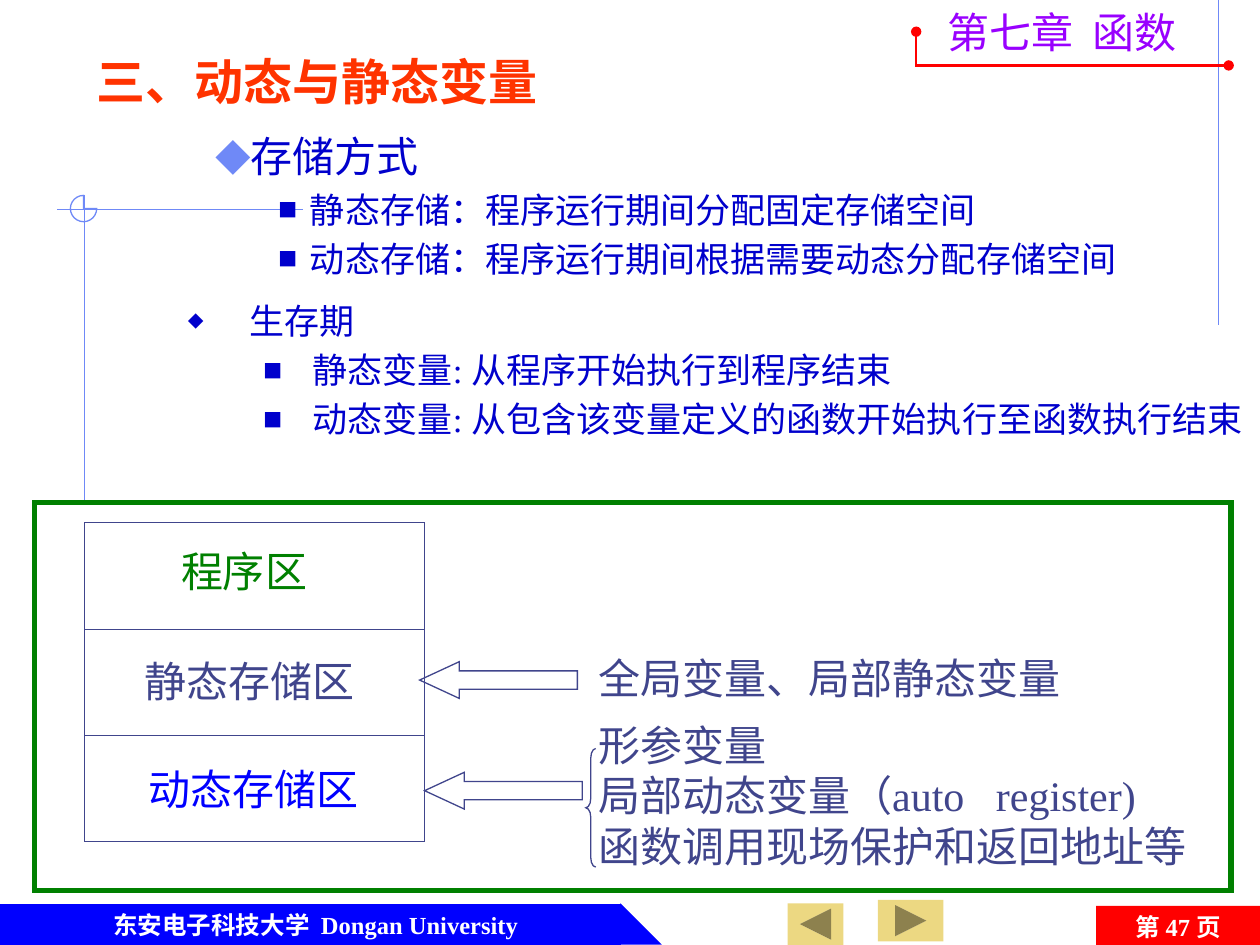
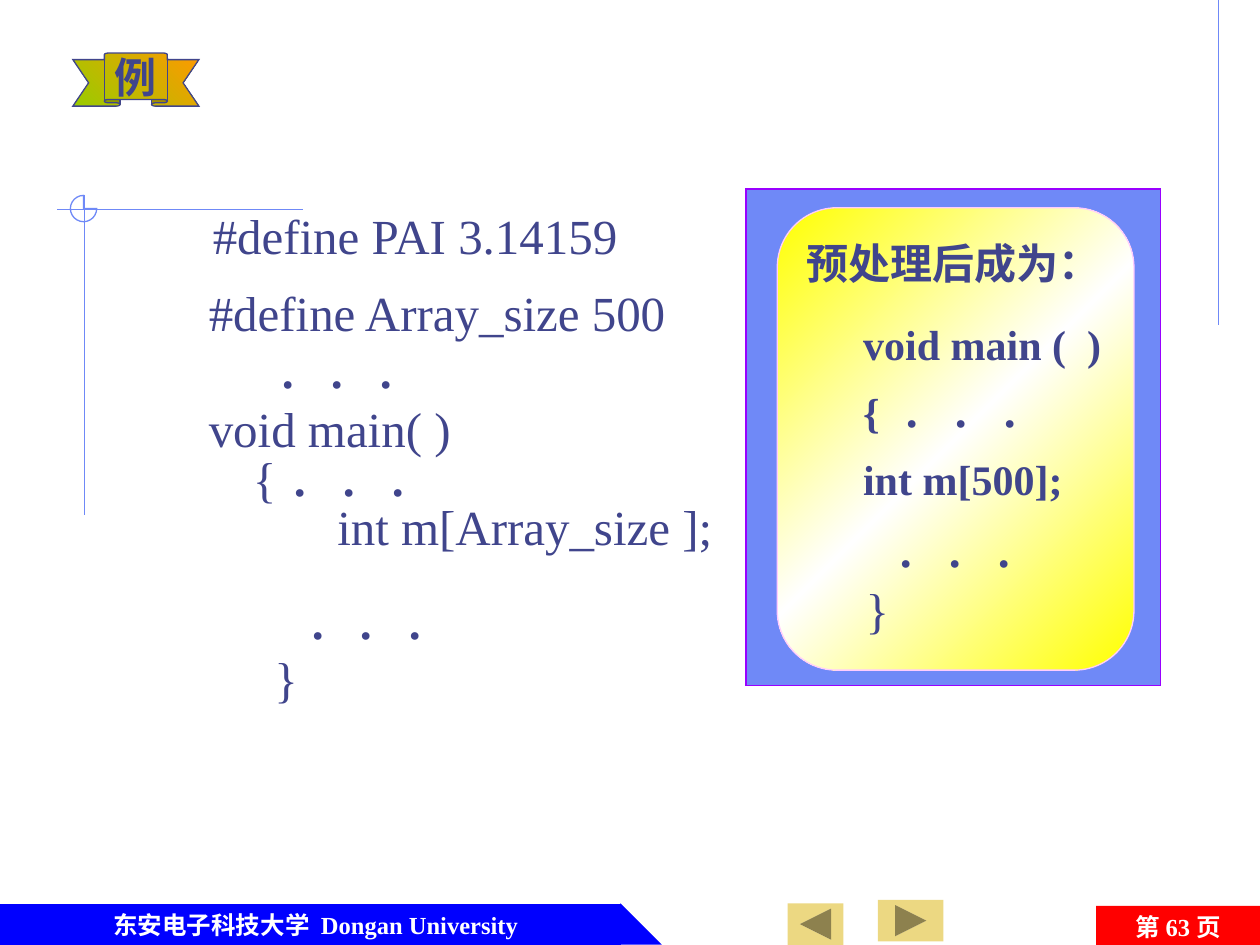
"""Build two lecture slides on C variables and macro definitions."""
import pptx
import pptx.util
import pptx.dml.color
import pptx.enum.shapes
import pptx.enum.text
import pptx.oxml.ns
import lxml.etree

Cm, Pt = pptx.util.Cm, pptx.util.Pt
SHAPE = pptx.enum.shapes.MSO_SHAPE
ANCHOR = pptx.enum.text.MSO_ANCHOR
ALIGN = pptx.enum.text.PP_ALIGN
qn = pptx.oxml.ns.qn

COLORS = {
    "frame": "6F89F7", "band": "0000FF", "page": "FF0000", "button": "ECD882",
    "white": "FFFFFF", "chapter": "9900FF", "title": "FF3300", "body": "0000CC",
    "green": "008000", "ink": "40458C", "lime": "99CC00", "orange": "FF9900",
    "yellow": "FFFF00", "pink": "FFCCFF",
}
SERIF, SANS, CJK = "Times New Roman", "Cabin", "Noto Sans CJK SC"

UNIVERSITY = "东安电子科技大学  Dongan University"
CHAPTER = "第七章  函数"
TITLE = "三、动态与静态变量"
FRAME_LINES = [(24.56, 0, 24.56, 6.55), (6.1, 4.22, 1.14, 4.22), (1.7, 3.94, 1.7, 10.39)]
NAV_BUTTONS = [(17.7, 18.14, 1.32, 0.84, 0), (15.88, 18.21, 1.12, 0.84, 180)]

# text, level, left margin, hanging indent, bullet, bullet percent, bullet colour, size
STORAGE = [
    ("存储方式", 1, 3.18, 0.64, "◆", 85, "frame", 24),
    ("静态存储：程序运行期间分配固定存储空间", 2, 4.45, 0.64, "■", 55, "body", 20),
    ("动态存储：程序运行期间根据需要动态分配存储空间", 2, 4.45, 0.64, "■", 55, "body", 20),
]
LIFETIME = [
    ("生存期", 1, 3.23, 1.24, "◆", 45, "body", 20),
    ("静态变量: 从程序开始执行到程序结束", 2, 4.5, 0.99, "■", 55, "body", 20),
    ("动态变量: 从包含该变量定义的函数开始执行至函数执行结束", 2, 4.5, 0.99, "■", 55, "body", 20),
]
ZONES = [("程序区", 3.4, 10.87, "green"), ("静态存储区", 2.67, 13.08, "ink"),
         ("动态存储区", 2.74, 15.27, "band")]
ZONE_ARROWS = [(8.46, 13.34), (8.56, 15.57)]
STATIC_VARIABLES = ["全局变量、局部静态变量"]
DYNAMIC_VARIABLES = ["形参变量", "局部动态变量（auto   register)", "函数调用现场保护和返回地址等"]

DOTS = "．．．"
# text, left, top, line spacing
SOURCE_CODE = [
    ("#define PAI 3.14159", 4.04, 4.01, None),
    ("#define Array_size 500", 3.96, 5.21, 1.3),
    (DOTS, 5.33, 6.73, None),
    ("void main( )", 3.96, 7.9, None),
    ("{ " + DOTS, 4.85, 8.92, None),
    ("int m[Array_size ];", 6.55, 9.53, 1.3),
    (DOTS, 5.92, 11.79, None),
    ("}", 5.28, 12.95, None),
]
# left, top, runs of (text, size, bold)
EXPANDED_CODE = [
    (16, 4.67, [("预处理后成为：", 24, True)]),
    (17.15, 6.3, [("void main (  )", 24, True)]),
    (17.15, 7.52, [("{  ", 24, True), (DOTS, 28, False)]),
    (17.15, 9.02, [("int m[500];", 24, True)]),
    (17.78, 10.34, [(DOTS, 28, False)]),
    (17.2, 11.56, [("}", 28, False)]),
]


def rgb(name):
    return pptx.dml.color.RGBColor.from_string(COLORS[name])


def add_run(paragraph, words, size, color, font=SERIF, bold=False):
    run = paragraph.add_run()
    run.text = words
    run.font.size, run.font.bold, run.font.name = Pt(size), bold, font
    run.font.color.rgb = rgb(color)
    lxml.etree.SubElement(run.font._element, qn("a:ea"), typeface=CJK)


def add_text(slide, left, top, width, height, paragraphs, anchor=ANCHOR.TOP,
             align=ALIGN.LEFT, spacing=None):
    """Add a text box; each paragraph is a list of run arguments."""
    box = slide.shapes.add_textbox(Cm(left), Cm(top), Cm(width), Cm(height))
    box.text_frame.word_wrap = True
    box.text_frame.vertical_anchor = anchor
    for number, runs in enumerate(paragraphs):
        paragraph = box.text_frame.paragraphs[0] if number == 0 else box.text_frame.add_paragraph()
        paragraph.alignment = align
        paragraph.line_spacing = spacing
        for run in runs:
            add_run(paragraph, *run)
    return box.text_frame


def add_shape(slide, kind, left, top, width, height, fill=None, line=None, weight=0.75, adjust=()):
    shape = slide.shapes.add_shape(kind, Cm(left), Cm(top), Cm(width), Cm(height))
    style(shape, fill, line, weight)
    for number, value in enumerate(adjust):
        shape.adjustments[number] = value
    return shape


def style(shape, fill, line, weight):
    shape.shadow.inherit = False
    if fill:
        shape.fill.solid()
        shape.fill.fore_color.rgb = rgb(fill)
    else:
        shape.fill.background()
    if line:
        shape.line.color.rgb = rgb(line)
        shape.line.width = Pt(weight)
        lxml.etree.SubElement(shape.line._get_or_add_ln(), qn("a:miter"), lim="800000")
    else:
        shape.line.fill.background()


def add_gradient(shape, stops, angle):
    shape.fill.gradient()
    shape.fill.gradient_angle = angle
    stop_list = shape._element.spPr.find(".//" + qn("a:gsLst"))
    for stop in list(stop_list):
        stop_list.remove(stop)
    for position, color in stops:
        stop = lxml.etree.SubElement(stop_list, qn("a:gs"), pos=str(position * 1000))
        lxml.etree.SubElement(stop, qn("a:srgbClr"), val=COLORS[color])


def add_line(slide, x1, y1, x2, y2, color):
    line = slide.shapes.add_connector(
        pptx.enum.shapes.MSO_CONNECTOR.STRAIGHT, Cm(x1), Cm(y1), Cm(x2), Cm(y2))
    line.line.color.rgb = rgb(color)
    line.line.width = Pt(0.75)
    lxml.etree.SubElement(line._element.spPr, qn("a:effectLst"))


def add_bullets(slide, top, height, items, font):
    rows = [[(words, size, "body", font)] for words, *_, size in items]
    frame = add_text(slide, 1.55, top, 23.85, height, rows)
    for paragraph, item in zip(frame.paragraphs, items):
        _, paragraph.level, margin, hanging, bullet, percent, color, size = item
        if paragraph.level > 1:
            paragraph.space_before = Pt(size * 0.2)
        props = paragraph._p.get_or_add_pPr()
        props.set("marL", str(Cm(margin)))
        props.set("indent", str(-Cm(hanging)))
        tint = lxml.etree.SubElement(props, qn("a:buClr"))
        lxml.etree.SubElement(tint, qn("a:srgbClr"), val=COLORS[color])
        lxml.etree.SubElement(props, qn("a:buSzPct"), val=str(percent * 1000))
        lxml.etree.SubElement(props, qn("a:buFont"), typeface=CJK)
        lxml.etree.SubElement(props, qn("a:buChar"), char=bullet)


def add_common(slide, page):
    """Add the frame lines, footer band, page number and navigation buttons."""
    for ends in FRAME_LINES:
        add_line(slide, *ends, "frame")
    add_shape(slide, SHAPE.PIE, 1.42, 3.94, 0.53, 0.53, line="frame")
    add_shape(slide, SHAPE.RECTANGLE, 0, 18.24, 12.5, 0.79, "band", "band")
    add_shape(slide, SHAPE.RIGHT_TRIANGLE, 12.52, 18.24, 0.79, 0.79, "band", "band")
    add_text(slide, 0.74, 18.24, 11.25, 0.79, [[(UNIVERSITY, 14, "white", SERIF, True)]],
             ANCHOR.MIDDLE, ALIGN.CENTER)
    add_shape(slide, SHAPE.RECTANGLE, 22.1, 18.26, 3.3, 0.84, "page")
    number = [("第 ", CJK), (f"{page} ", SERIF), ("页", CJK)]
    add_text(slide, 22.1, 18.26, 3.3, 0.84,
             [[(words, 14, "white", font, True) for words, font in number]],
             ANCHOR.MIDDLE, ALIGN.CENTER)
    for left, top, width, height, turn in NAV_BUTTONS:
        button = add_shape(slide, SHAPE.ACTION_BUTTON_FORWARD_OR_NEXT, left, top, width, height, "button")
        button.rotation = turn


def add_chapter(slide):
    add_text(slide, 18.85, 0, 6.2, 1.27, [[(CHAPTER, 24, "chapter", CJK)]])
    builder = slide.shapes.build_freeform(Cm(18.47), Cm(0.64))
    builder.add_line_segments([(Cm(18.47), Cm(1.32)), (Cm(24.77), Cm(1.32))], close=False)
    rule = builder.convert_to_shape()
    style(rule, None, "page", 1.5)
    for end in ("a:headEnd", "a:tailEnd"):
        lxml.etree.SubElement(rule.line._get_or_add_ln(), qn(end), type="oval")


def add_title(slide):
    title = slide.shapes.title
    title.left, title.top, title.width, title.height = Cm(1.7), Cm(0.91), Cm(12), Cm(1.45)
    title.text_frame.vertical_anchor = ANCHOR.TOP
    paragraph = title.text_frame.paragraphs[0]
    paragraph.alignment = ALIGN.LEFT
    add_run(paragraph, TITLE, 28, "title", SERIF, True)


def add_memory_map(slide):
    left, top, width, height = 1.7, 10.54, 6.86, 6.43
    add_shape(slide, SHAPE.RECTANGLE, 0.69, 10.13, 24.13, 7.82, "white", "green", 3)
    add_shape(slide, SHAPE.RECTANGLE, left, top, width, height, line="ink")
    for number in range(1, len(ZONES)):
        y = top + height * number / len(ZONES)
        add_line(slide, left, y, left + width, y, "ink")
    for name, x, y, color in ZONES:
        add_text(slide, x, y, 5.2, 1.27, [[(name, 24, color)]], ANCHOR.MIDDLE)
    for x, y in ZONE_ARROWS:
        add_shape(slide, SHAPE.LEFT_ARROW, x, y, 3.18, 0.74, line="ink", adjust=(0.5, 1.08))
    for lines, y, tall in ((STATIC_VARIABLES, 13.03, 1.27), (DYNAMIC_VARIABLES, 14.38, 3.3)):
        add_text(slide, 11.81, y, 13, tall, [[(words, 24, "ink")] for words in lines], ANCHOR.MIDDLE)
    add_shape(slide, SHAPE.LEFT_BRACE, 11.81, 15.09, 0.2, 2.39, line="ink", adjust=(0.96, 0.5))


def add_example_ribbon(slide):
    ribbon = add_shape(slide, SHAPE.UP_RIBBON, 1.47, 1.07, 2.54, 1.07, line="ink", adjust=(0.125, 0.5))
    add_gradient(ribbon, [(0, "lime"), (100, "orange")], 45)
    ribbon.text_frame.word_wrap = False
    ribbon.text_frame.vertical_anchor = ANCHOR.MIDDLE
    paragraph = ribbon.text_frame.paragraphs[0]
    paragraph.alignment = ALIGN.CENTER
    add_run(paragraph, "例", 24, "ink", SANS, True)


def add_expansion(slide):
    add_shape(slide, SHAPE.RECTANGLE, 15.04, 3.81, 8.36, 10.01, "frame", "chapter")
    card = add_shape(slide, SHAPE.ROUNDED_RECTANGLE, 15.67, 4.19, 7.19, 9.32,
                     line="pink", adjust=(0.167,))
    add_gradient(card, [(0, "yellow"), (50, "white"), (100, "yellow")], 315)
    for left, top, runs in EXPANDED_CODE:
        add_text(slide, left, top, 6.8, 1.35,
                 [[(words, size, "ink", SERIF, bold) for words, size, bold in runs]])


def main():
    deck = pptx.Presentation()
    deck.slide_width, deck.slide_height = Cm(25.4), Cm(19.05)

    variables = deck.slides.add_slide(deck.slide_layouts[5])
    add_common(variables, 47)
    add_chapter(variables)
    add_title(variables)
    add_bullets(variables, 2.51, 3.61, STORAGE, SANS)
    add_memory_map(variables)
    add_bullets(variables, 5.92, 3.28, LIFETIME, SERIF)

    macros = deck.slides.add_slide(deck.slide_layouts[6])
    add_common(macros, 63)
    add_example_ribbon(macros)
    add_expansion(macros)
    for words, left, top, spacing in SOURCE_CODE:
        add_text(macros, left, top, 11.5, 1.45, [[(words, 28, "ink")]], spacing=spacing)

    deck.save("out.pptx")


if __name__ == "__main__":
    main()
